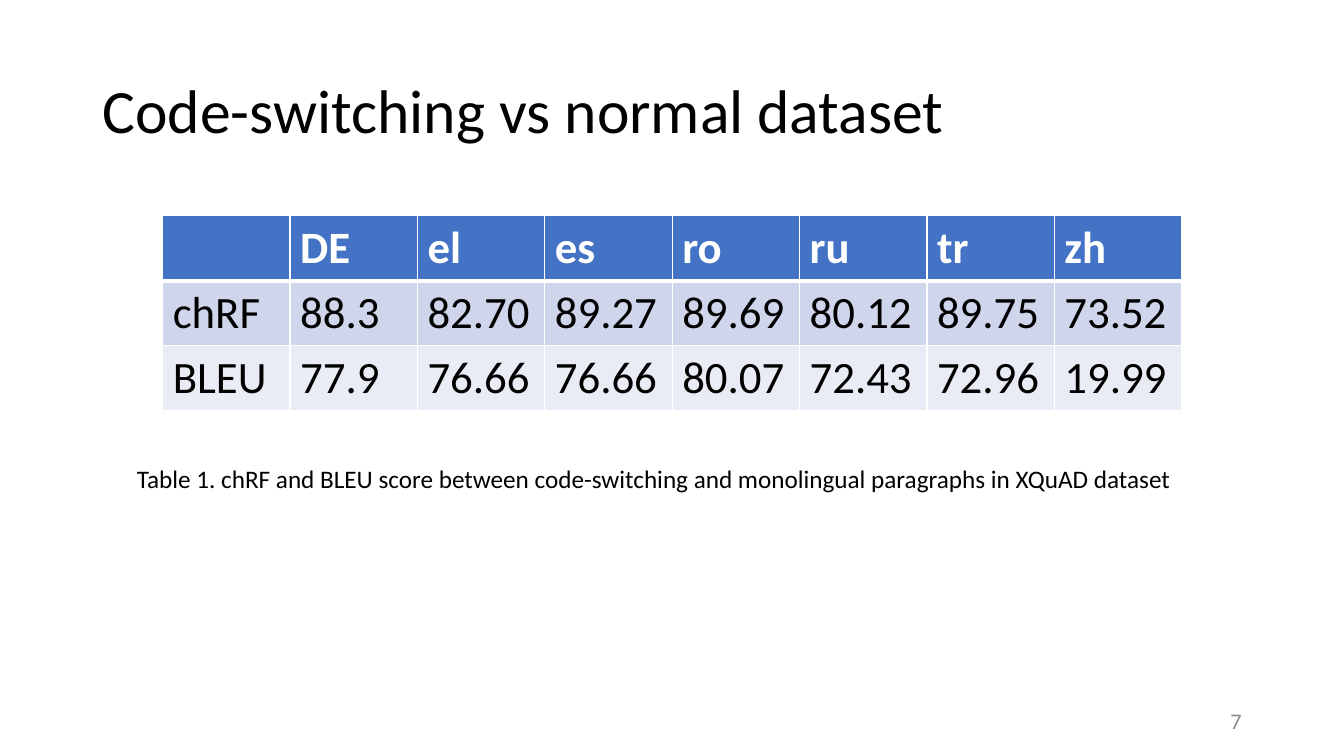
import pptx
import pptx.dml.color
import pptx.enum.text
import pptx.oxml
import pptx.oxml.ns
import pptx.util

Cm, Pt = pptx.util.Cm, pptx.util.Pt
RGBColor = pptx.dml.color.RGBColor
PP_ALIGN, MSO_ANCHOR = pptx.enum.text.PP_ALIGN, pptx.enum.text.MSO_ANCHOR

TITLE = "Code-switching vs normal dataset"
SCORES = [
    ("", "DE", "el", "es", "ro", "ru", "tr", "zh"),
    ("chRF", "88.3", "82.70", "89.27", "89.69", "80.12", "89.75", "73.52"),
    ("BLEU", "77.9", "76.66", "76.66", "80.07", "72.43", "72.96", "19.99"),
]
CAPTION = ("Table 1. chRF and BLEU score between code-switching and "
           "monolingual paragraphs in XQuAD dataset")
PAGE_NUMBER = "7"

FONT = "Calibri"
BLACK = RGBColor(0x00, 0x00, 0x00)
WHITE = RGBColor(0xFF, 0xFF, 0xFF)
GRAY = RGBColor(0x8C, 0x8C, 0x8C)
ROW_FILLS = [
    RGBColor(0x44, 0x72, 0xC4),
    RGBColor(0xCF, 0xD5, 0xEA),
    RGBColor(0xE9, 0xEB, 0xF5),
]
COLUMN_WIDTH, ROW_HEIGHT = Cm(3.21), Cm(1.63)
THIN, THICK = Pt(1), Pt(3)


def write(frame, text, size, color, bold=False, align=PP_ALIGN.LEFT):
    frame.text = text
    paragraph = frame.paragraphs[0]
    paragraph.alignment = align
    font_format = {"name": FONT, "size": Pt(size), "bold": bold}
    # An empty cell keeps its text height through the paragraph's end mark.
    font = paragraph.runs[0].font if text else paragraph.font
    for key, value in font_format.items():
        setattr(font, key, value)
    font.color.rgb = color


def add_borders(cell, widths):
    """Draw white borders; widths maps a side (L, R, T, B) to a line width."""
    properties = cell._tc.get_or_add_tcPr()
    for index, (side, width) in enumerate(widths.items()):
        line = pptx.oxml.parse_xml(
            f'<a:ln{side} {pptx.oxml.ns.nsdecls("a")} w="{width}"><a:solidFill>'
            f'<a:srgbClr val="{WHITE}"/></a:solidFill></a:ln{side}>')
        properties.insert(index, line)


def add_scores(slide):
    table = slide.shapes.add_table(
        len(SCORES), len(SCORES[0]), Cm(4.1), Cm(5.44),
        COLUMN_WIDTH * len(SCORES[0]), ROW_HEIGHT * len(SCORES)).table
    for column in table.columns:
        column.width = COLUMN_WIDTH
    for r, (values, fill) in enumerate(zip(SCORES, ROW_FILLS)):
        header = r == 0
        table.rows[r].height = ROW_HEIGHT
        widths = {"L": THIN, "R": THIN,
                  "T": THICK if r == 1 else THIN,
                  "B": THICK if header else THIN}
        for c, value in enumerate(values):
            cell = table.cell(r, c)
            write(cell.text_frame, value, 32, WHITE if header else BLACK, header)
            cell.fill.solid()
            cell.fill.fore_color.rgb = fill
            add_borders(cell, widths)


def add_label(slide, box, anchor, *text_format):
    frame = slide.shapes.add_textbox(*map(Cm, box)).text_frame
    frame.word_wrap = True
    frame.vertical_anchor = anchor
    write(frame, *text_format)


def main():
    deck = pptx.Presentation()
    deck.slide_width, deck.slide_height = Cm(33.87), Cm(19.05)
    slide = deck.slides.add_slide(deck.slide_layouts[5])

    title = slide.shapes.title
    title_place = {"left": 2.33, "top": 1.01, "width": 29.21, "height": 3.68}
    for key, value in title_place.items():
        setattr(title, key, Cm(value))
    title.text_frame.vertical_anchor = MSO_ANCHOR.MIDDLE
    write(title.text_frame, TITLE, 44, BLACK)
    title.text_frame.paragraphs[0].line_spacing = 0.9

    add_scores(slide)
    add_label(slide, (23.92, 17.66, 7.62, 1.01), MSO_ANCHOR.MIDDLE,
              PAGE_NUMBER, 16, GRAY, False, PP_ALIGN.RIGHT)
    add_label(slide, (3.2, 11.56, 26.9, 1.03), MSO_ANCHOR.TOP,
              CAPTION, 18, BLACK)
    deck.save("out.pptx")


if __name__ == "__main__":
    main()
